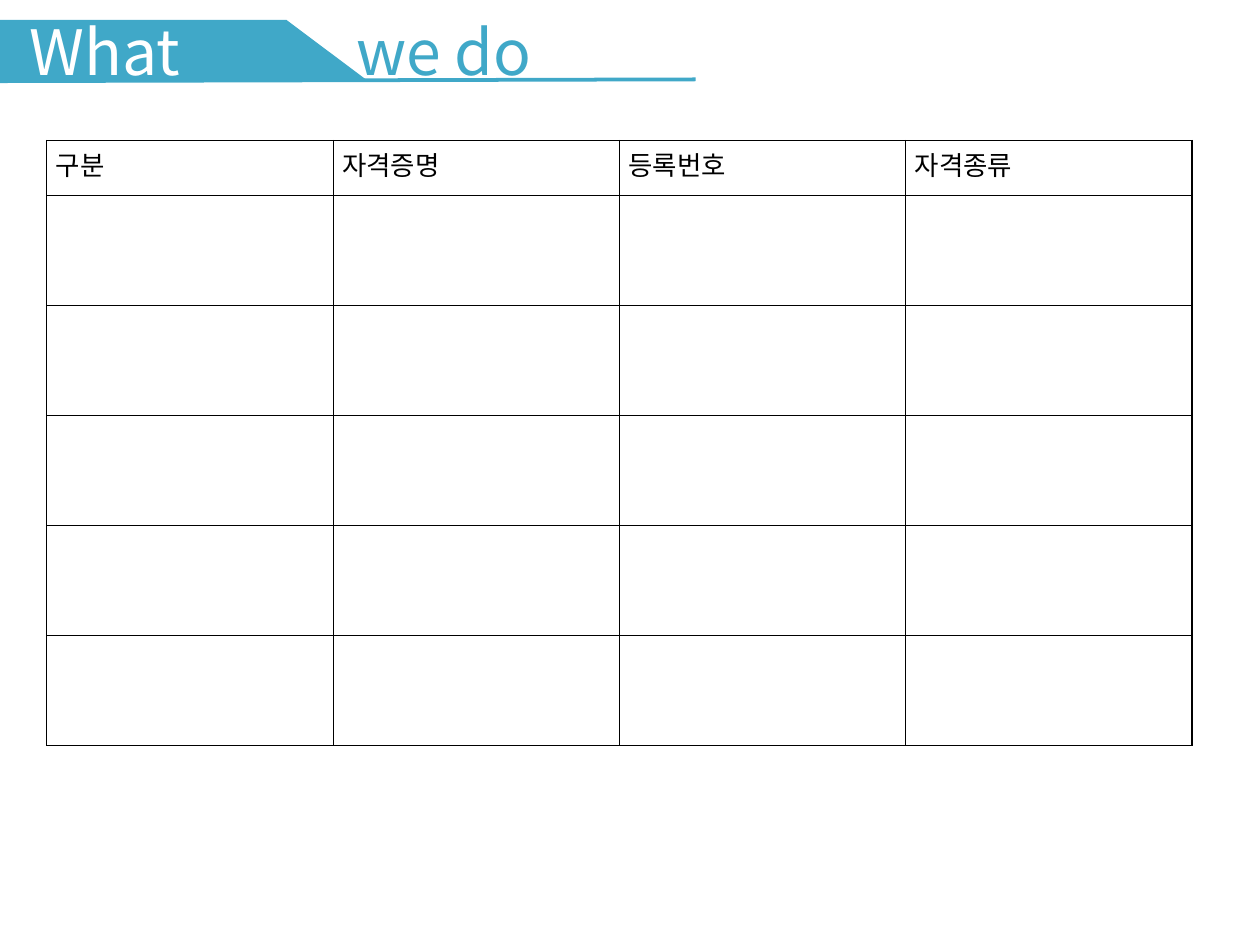
from lxml.etree import SubElement
from pptx import Presentation
from pptx.dml.color import RGBColor
from pptx.enum.shapes import MSO_CONNECTOR
from pptx.enum.text import MSO_AUTO_SIZE
from pptx.oxml import parse_xml
from pptx.oxml.ns import nsdecls, qn
from pptx.util import Cm, Pt

FONT = "Noto Sans CJK KR"
BLUE = RGBColor(0x40, 0xA8, 0xC8)
WHITE = RGBColor(0xFF, 0xFF, 0xFF)
BLACK = RGBColor(0, 0, 0)
HEADINGS = ["구분", "자격증명", "등록번호", "자격종류"]
EMPTY_ROWS = 5


def line_xml(tag, color, points):
    return parse_xml(
        f'<a:{tag} {nsdecls("a")} w="{Pt(points)}"><a:solidFill>'
        f'<a:srgbClr val="{color}"/></a:solidFill></a:{tag}>'
    )


def style_span(span, size, color):
    span.font.size = Pt(size)
    span.font.name = FONT
    span.font.color.rgb = color
    properties = span.font._element
    SubElement(properties, qn("a:ea")).set("typeface", FONT)
    return properties


def add_title_word(page, text, left, width, color, outline=None):
    box = page.shapes.add_textbox(Cm(left), Cm(0.2), Cm(width), Cm(2.49))
    frame = box.text_frame
    frame.text = text
    frame.word_wrap = False
    frame.auto_size = MSO_AUTO_SIZE.SHAPE_TO_FIT_TEXT
    frame.margin_left = frame.margin_right = Cm(0.36)
    frame.margin_top = frame.margin_bottom = Cm(0.18)
    properties = style_span(frame.paragraphs[0].runs[0], 50, color)
    if outline is not None:
        properties.insert(0, line_xml("ln", outline, 0.75))


def add_banner(page):
    builder = page.shapes.build_freeform(Cm(-0.1), Cm(0.56))
    corners = [(8.08, 0.56), (10.39, 2.29), (-0.1, 2.29)]
    builder.add_line_segments([(Cm(x), Cm(y)) for x, y in corners])
    banner = builder.convert_to_shape()
    banner.shadow.inherit = False
    banner.fill.solid()
    banner.fill.fore_color.rgb = BLUE
    banner.line.fill.background()


def add_underline(page):
    rule = page.shapes.add_connector(
        MSO_CONNECTOR.STRAIGHT, Cm(0), Cm(2.29), Cm(19.63), Cm(2.24)
    )
    rule.line.color.rgb = BLUE
    rule.line.width = Pt(3)
    SubElement(rule._element.spPr, qn("a:effectLst"))


def style_cell(cell):
    properties = cell._tc.get_or_add_tcPr()
    for side in ("lnL", "lnR", "lnT", "lnB"):
        properties.append(line_xml(side, BLACK, 1))
    cell.fill.background()


def add_certificate_table(page):
    heights = [1.57] + [3.1] * EMPTY_ROWS
    table = page.shapes.add_table(
        len(heights), len(HEADINGS), Cm(1.32), Cm(3.96), Cm(32.32), Cm(sum(heights))
    ).table
    table.first_row = False
    table.horz_banding = False
    for column in table.columns:
        column.width = Cm(8.08)
    for row, height in zip(table.rows, heights):
        row.height = Cm(height)
    for cell in table.iter_cells():
        style_cell(cell)
    for cell, heading in zip(table.rows[0].cells, HEADINGS):
        cell.text_frame.text = heading
        style_span(cell.text_frame.paragraphs[0].runs[0], 21.2, BLACK)


def main():
    deck = Presentation()
    deck.slide_width = Cm(35.56)
    deck.slide_height = Cm(26.67)
    page = deck.slides.add_slide(deck.slide_layouts[6])
    add_certificate_table(page)
    add_banner(page)
    add_title_word(page, "we do", 9.7, 5.82, BLUE, outline=WHITE)
    add_underline(page)
    add_title_word(page, "What", 0.48, 5.08, WHITE)
    deck.save("out.pptx")


if __name__ == "__main__":
    main()
